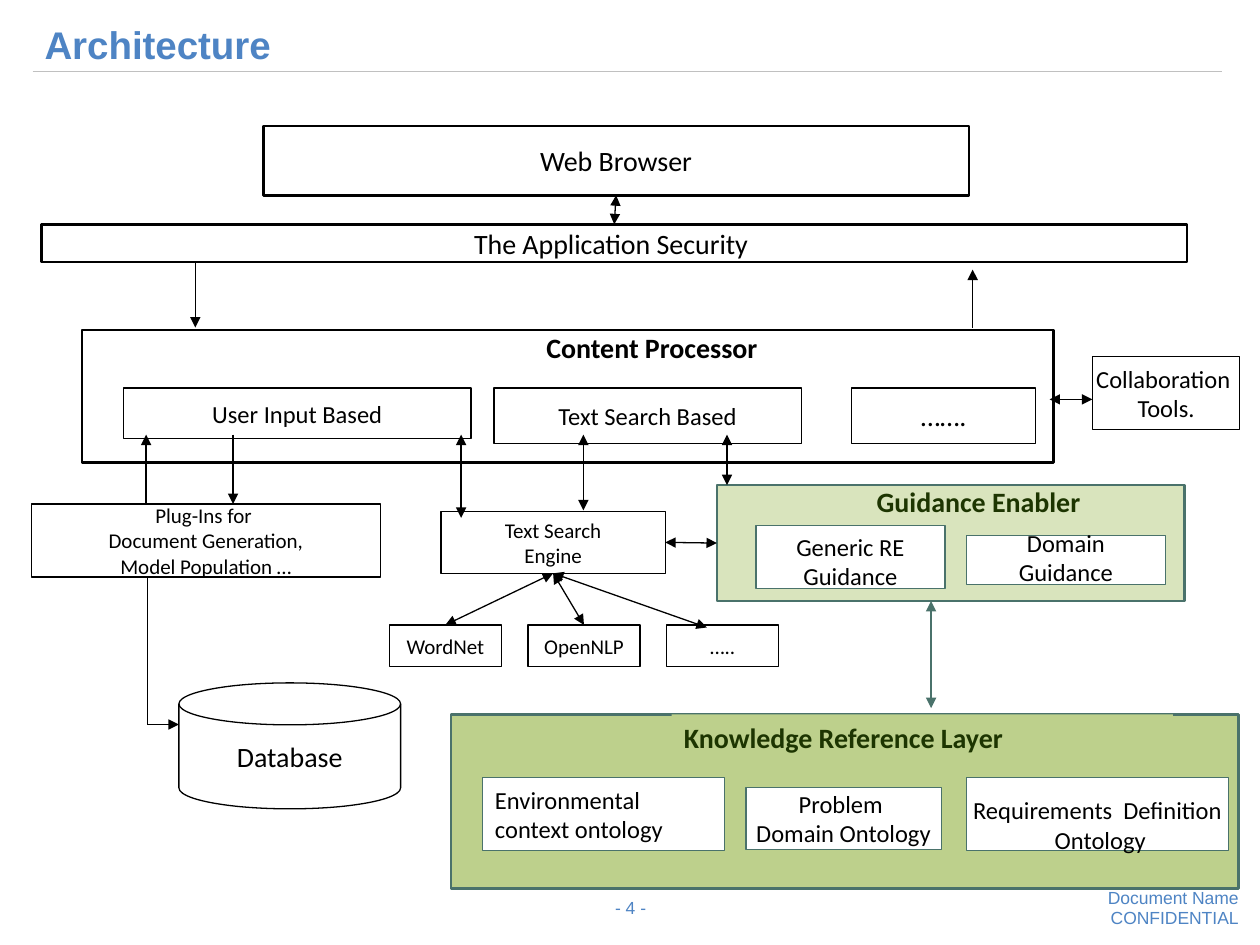
from dataclasses import dataclass
from typing import Optional

import pptx
import pptx.dml.color
import pptx.enum.shapes
import pptx.enum.text
import pptx.oxml.ns
import pptx.oxml.xmlchemy
import pptx.util

EMU_PER_PX = 9144
ALIGN = pptx.enum.text.PP_ALIGN
ANCHOR = pptx.enum.text.MSO_ANCHOR
SHAPE = pptx.enum.shapes.MSO_SHAPE
CONNECTOR = pptx.enum.shapes.MSO_CONNECTOR
TOP, LEFT, BOTTOM, RIGHT = range(4)


@dataclass(frozen=True)
class Theme:
    black: str = "000000"
    white: str = "FFFFFF"
    blue: str = "4E84C4"
    grey: str = "C0C0C0"
    green: str = "BDD08C"
    teal: str = "4A726B"
    dark_green: str = "1D3501"
    body_font: str = "Calibri"
    heading_font: str = "Arial"
    title: int = 22
    large: int = 16
    medium: int = 14
    small: int = 12
    footer: int = 10
    thin: float = 0.75
    thick: float = 1.5


THEME = Theme()


@dataclass(frozen=True)
class Box:
    name: str
    left: int
    top: int
    width: int
    height: int
    text: str = ""
    size: int = THEME.medium
    fill: Optional[str] = THEME.white
    line: Optional[str] = THEME.black
    weight: float = THEME.thin
    color: str = THEME.black
    bold: bool = False
    align: ALIGN = ALIGN.CENTER
    inset_top: int = 5
    opacity: int = 100
    geometry: SHAPE = SHAPE.RECTANGLE


@dataclass(frozen=True)
class Arrow:
    x1: int
    y1: int
    x2: int
    y2: int
    head: bool = True
    tail: bool = True
    color: str = THEME.black
    begin: Optional[tuple[str, int]] = None
    end: Optional[tuple[str, int]] = None


BOXES = [
    Box("browser", 209, 100, 560, 55, "Web Browser", THEME.large, weight=THEME.thick),
    Box("security", 33, 178, 909, 30, "The Application Security ", THEME.large, weight=THEME.thick),
    Box("processor", 65, 262, 771, 105, weight=THEME.thick),
    Box("processor label", 336, 257, 363, 37, "Content Processor", THEME.large,
        fill=None, line=None, bold=True),
    Box("user input", 98, 308, 276, 40, "User Input Based"),
    Box("text search", 392, 308, 244, 44, "Text Search Based"),
    Box("more inputs", 676, 308, 146, 44, "…….", THEME.large),
    Box("collaboration", 867, 283, 117, 58, "Collaboration \nTools."),
    Box("plug-ins", 25, 400, 277, 58,
        "Plug-Ins for \nDocument Generation,\nModel Population …", THEME.small),
    Box("database", 142, 542, 176, 100, "Database", THEME.large,
        geometry=SHAPE.FLOWCHART_MAGNETIC_DISK),
    Box("engine", 350, 406, 178, 49, "Text Search\nEngine", THEME.small),
    *(Box(name, 309 + 110 * index, 496, 89, 33, name, THEME.small)
      for index, name in enumerate(("WordNet", "OpenNLP", "….."))),
    Box("guidance", 569, 385, 371, 92, fill=THEME.green, line=THEME.teal,
        weight=THEME.thick, opacity=57),
    Box("guidance label", 686, 379, 235, 37, "Guidance Enabler", THEME.large, fill=None,
        line=None, color=THEME.dark_green, bold=True, align=ALIGN.LEFT),
    Box("generic", 600, 417, 150, 50, "Generic RE\nGuidance", line=THEME.teal, inset_top=12),
    Box("domain", 767, 425, 158, 39, "Domain\nGuidance", line=THEME.teal, inset_top=0),
    Box("knowledge", 358, 567, 625, 138, fill=THEME.green, line=THEME.teal, weight=THEME.thick),
    Box("knowledge label", 533, 567, 398, 37, "Knowledge Reference Layer", THEME.large,
        fill=THEME.green, line=None, color=THEME.dark_green, bold=True, align=ALIGN.LEFT),
    Box("environment", 383, 617, 192, 58, "Environmental\ncontext ontology",
        line=THEME.teal, align=ALIGN.LEFT),
    Box("problem", 592, 625, 155, 49, "Problem \nDomain Ontology", line=THEME.teal),
    Box("requirements", 767, 617, 208, 58, "Requirements  Definition\n Ontology",
        line=THEME.teal, inset_top=22),
]

ARROWS = [
    Arrow(489, 155, 487, 178, begin=("browser", BOTTOM), end=("security", TOP)),
    Arrow(155, 208, 155, 260, head=False),
    Arrow(772, 260, 772, 214, head=False),
    Arrow(833, 317, 867, 317),
    Arrow(116, 400, 116, 345, head=False),
    Arrow(185, 345, 185, 400, head=False),
    Arrow(117, 458, 117, 575, head=False, tail=False),
    Arrow(117, 575, 142, 575, head=False),
    Arrow(366, 345, 366, 411),
    Arrow(463, 345, 463, 405),
    Arrow(577, 345, 577, 385),
    Arrow(528, 431, 569, 431, begin=("engine", RIGHT), end=("guidance", LEFT)),
    Arrow(354, 496, 439, 455, begin=("WordNet", TOP), end=("engine", BOTTOM)),
    Arrow(463, 496, 439, 455, begin=("OpenNLP", TOP), end=("engine", BOTTOM)),
    Arrow(561, 498, 439, 455, end=("engine", BOTTOM)),
    Arrow(739, 477, 739, 562, color=THEME.teal),
]


def px(*lengths: int) -> list[pptx.util.Emu]:
    """Turn pixel lengths into EMU."""
    return [pptx.util.Emu(length * EMU_PER_PX) for length in lengths]


def rgb(color: str) -> pptx.dml.color.RGBColor:
    """Read a hexadecimal colour."""
    return pptx.dml.color.RGBColor.from_string(color)


def add_element(parent, tag: str, **attributes: str) -> None:
    """Append a drawing element to its parent."""
    element = pptx.oxml.xmlchemy.OxmlElement(tag)
    for name, value in attributes.items():
        element.set(name, value)
    parent.append(element)


def write(shape, text: str, size: int, color: str, font: str, align: ALIGN,
          bold: bool = False, insets: tuple[int, ...] = (10, 5, 10, 5)) -> None:
    """Fill a shape with evenly formatted text."""
    frame = shape.text_frame
    frame.text = text
    frame.margin_left, frame.margin_top, frame.margin_right, frame.margin_bottom = px(*insets)
    frame.vertical_anchor = ANCHOR.MIDDLE
    frame.word_wrap = align != ALIGN.CENTER
    for paragraph in frame.paragraphs:
        paragraph.alignment = align
        for run in paragraph.runs:
            run.font.name, run.font.size, run.font.bold = font, pptx.util.Pt(size), bold
            run.font.color.rgb = rgb(color)


def draw_box(slide, box: Box):
    """Draw one box with its text."""
    shape = slide.shapes.add_shape(
        box.geometry, *px(box.left, box.top, box.width, box.height))
    shape.shadow.inherit = False
    if box.fill:
        shape.fill.solid()
        shape.fill.fore_color.rgb = rgb(box.fill)
    else:
        shape.fill.background()
    if box.opacity < 100:
        color = shape._element.spPr.find(".//" + pptx.oxml.ns.qn("a:srgbClr"))
        add_element(color, "a:alpha", val=str(box.opacity * 1000))
    if box.line:
        shape.line.color.rgb = rgb(box.line)
        shape.line.width = pptx.util.Pt(box.weight)
    else:
        shape.line.fill.background()
    if box.text:
        write(shape, box.text, box.size, box.color, THEME.body_font, box.align, box.bold,
              (10, box.inset_top, 10, 5))
    return shape


def draw_arrow(slide, arrow: Arrow, shapes: dict) -> None:
    """Draw a straight line with its arrowheads and joins."""
    connector = slide.shapes.add_connector(
        CONNECTOR.STRAIGHT, *px(arrow.x1, arrow.y1, arrow.x2, arrow.y2))
    if arrow.begin:
        connector.begin_connect(shapes[arrow.begin[0]], arrow.begin[1])
    if arrow.end:
        connector.end_connect(shapes[arrow.end[0]], arrow.end[1])
    connector.line.color.rgb = rgb(arrow.color)
    connector.line.width = pptx.util.Pt(THEME.thin)
    for wanted, tag in ((arrow.head, "a:headEnd"), (arrow.tail, "a:tailEnd")):
        if wanted:
            add_element(connector.line._get_or_add_ln(), tag, type="triangle")
    add_element(connector._element.spPr, "a:effectLst")


def draw_frame(slide) -> None:
    """Set the title, its rule and the footer texts."""
    title = slide.shapes.title
    title.left, title.top, title.width, title.height = px(18, 6, 957, 52)
    write(title, " Architecture", THEME.title, THEME.blue, THEME.heading_font, ALIGN.LEFT, True)
    title.text_frame.vertical_anchor = ANCHOR.TOP
    title.text_frame.paragraphs[0].line_spacing = 1.15
    draw_arrow(slide, Arrow(26, 57, 970, 57, False, False, THEME.grey), {})
    for text, area, align, insets in (
            ("Document Name", (557, 704, 426, 17), ALIGN.RIGHT, (0, 0, 0, 0)),
            ("CONFIDENTIAL", (557, 720, 426, 17), ALIGN.RIGHT, (0, 0, 0, 0)),
            ("- 4 -", (464, 701, 73, 39), ALIGN.CENTER, (10, 5, 10, 5))):
        write(slide.shapes.add_textbox(*px(*area)), text, THEME.footer, THEME.blue,
              THEME.heading_font, align, insets=insets)


def main() -> None:
    """Build the architecture slide."""
    presentation = pptx.Presentation()
    presentation.slide_width, presentation.slide_height = px(1000, 750)
    slide = presentation.slides.add_slide(presentation.slide_layouts[5])
    draw_frame(slide)
    shapes = {box.name: draw_box(slide, box) for box in BOXES}
    for arrow in ARROWS:
        draw_arrow(slide, arrow, shapes)
    presentation.save("out.pptx")


if __name__ == "__main__":
    main()
